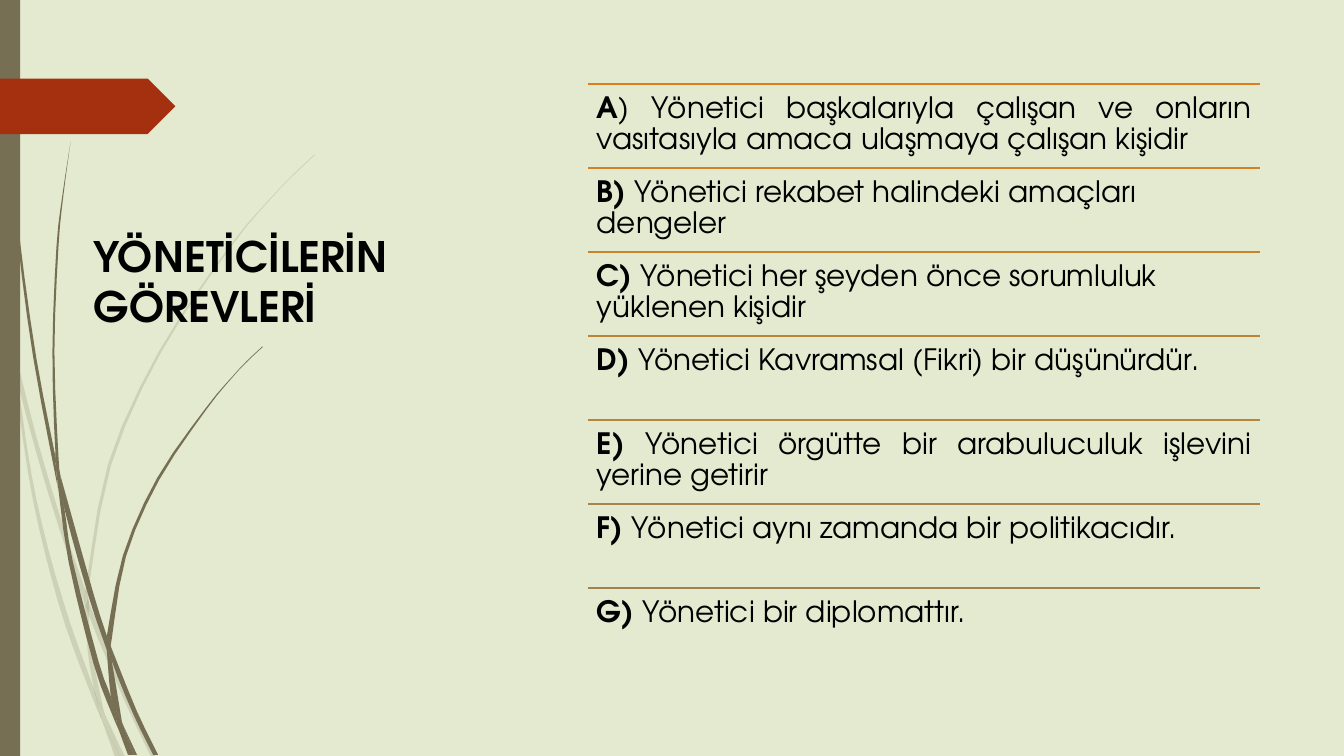
"""Builds a slide that lists the duties of managers."""
import lxml.etree
import pptx
import pptx.dml.color
import pptx.enum.shapes
import pptx.enum.text
import pptx.oxml
import pptx.oxml.ns
import pptx.util

WIDE, HIGH = pptx.util.Inches(13.333), pptx.util.Inches(7.5)
COL, ROW = WIDE / 16, HIGH / 9
FONT = "TeX Gyre Adventor"
HUES = {"back": "E3EACF", "stem": "766F54", "tag": "A53010", "text": "000000"}
RULES = ["DE7E18", "D38122", "C9832B", "BE8435", "B4853E", "A98448", "9F8351"]
TITLE = "YÖNETİCİLERİN GÖREVLERİ"
DUTIES = [
    ("A", ") Yönetici başkalarıyla çalışan ve onların vasıtasıyla amaca ulaşmaya çalışan kişidir", True),
    ("B) ", "Yönetici rekabet halindeki amaçları dengeler", False),
    ("C) ", "Yönetici her şeyden önce sorumluluk yüklenen kişidir", False),
    ("D) ", "Yönetici Kavramsal (Fikri) bir düşünürdür.", False),
    ("E) ", "Yönetici örgütte bir arabuluculuk işlevini yerine getirir", True),
    ("F) ", "Yönetici aynı zamanda bir politikacıdır.", False),
    ("G) ", "Yönetici bir diplomattır.", False),
]
PALE = [
    ([(0, 2.99), (0.1, 3.44), (0.11, 3.5)], [(0.11, 3.5), (0.09, 3.22), (0, 2.82)]),
    ([(0.14, 3.45), (0.17, 3.76), (0.36, 4.49), (0.58, 5.22), (0.84, 5.99)],
     [(0.85, 5.86), (0.62, 5.2), (0.36, 4.33), (0.14, 3.45)]),
    ([(0.88, 5.96), (0.88, 6.1), (1.23, 6.94), (1.5, 7.51)],
     [(1.55, 7.51), (1.27, 6.92), (0.92, 6.07), (0.88, 5.96)]),
    ([(1.05, 7.11), (1.19, 7.51)], [(1.24, 7.51), (1.05, 7.11)]),
    ([(0.11, 3.5), (0.28, 4.7), (0.44, 5.46), (0.65, 6.21), (0.92, 6.93), (1.01, 7.14)],
     [(0.99, 7.07), (0.93, 6.83), (0.7, 6.19), (0.48, 5.45), (0.31, 4.69), (0.17, 3.76),
      (0.11, 3.5)]),
    ([(0.84, 5.99), (0.87, 6.46), (0.93, 6.83), (0.96, 6.92), (1.05, 7.11)],
     [(1.03, 7.06), (0.91, 6.46), (0.88, 6.1), (0.84, 5.99)]),
    ([(3.12, 1.53), (2.89, 1.75), (2.68, 1.97), (2.28, 2.44), (1.58, 3.48), (1.07, 4.61),
      (0.85, 5.84), (0.85, 5.86)],
     [(0.88, 5.96), (0.88, 5.84), (1.1, 4.62), (1.6, 3.49), (2.29, 2.45), (2.68, 1.98),
      (2.9, 1.75), (3.12, 1.54)]),
    ([(1.01, 7.14), (1.14, 7.51)], [(1.19, 7.51), (1.01, 7.14)]),
    ([(0.85, 5.86), (0.84, 5.99), (0.88, 6.08)], [(0.88, 6.1), (0.88, 5.96), (0.85, 5.86)]),
    ([(0.93, 6.83), (0.99, 7.07), (1.01, 7.14), (1.19, 7.51)],
     [(1.19, 7.51), (1.05, 7.11), (0.96, 6.92), (0.93, 6.83)]),
]
DARK = [
    ([(0.03, 0), (0.04, 0.48), (0.07, 1.1), (0.17, 2.33), (0.33, 3.55), (0.56, 4.77), (0.57, 4.81)],
     [(0.55, 4.57), (0.55, 4.53), (0.36, 3.55), (0.19, 2.32), (0.08, 1.09), (0.05, 0.48),
      (0.04, 0)]),
    ([(0.6, 4.72), (0.64, 5.05), (0.88, 5.92), (1.06, 6.45)],
     [(1.06, 6.33), (1.06, 6.31), (0.93, 5.9), (0.6, 4.72)]),
    ([(1.1, 6.41), (1.11, 6.56), (1.32, 7.08), (1.52, 7.49)],
     [(1.57, 7.49), (1.36, 7.06), (1.13, 6.49), (1.1, 6.41)]),
    ([(0.57, 4.77), (0.68, 5.57), (0.93, 6.59), (1.11, 7.08), (1.17, 7.22)],
     [(1.16, 7.17), (1.1, 6.91), (0.98, 6.57), (0.72, 5.56), (0.64, 5.05), (0.57, 4.77)]),
    ([(0.7, 1.41), (0.62, 1.93), (0.56, 2.45), (0.52, 3.49), (0.55, 4.49), (0.6, 4.72)],
     [(0.6, 4.72), (0.58, 4.53), (0.54, 3.49), (0.58, 2.45), (0.63, 1.93), (0.7, 1.41)]),
    ([(1.22, 7.19), (1.33, 7.49)], [(1.36, 7.49), (1.22, 7.19)]),
    ([(0.55, 4.49), (0.55, 4.53), (0.57, 4.77), (0.64, 5.05)],
     [(0.6, 4.72), (0.6, 4.72), (0.55, 4.49)]),
    ([(2.6, 3.44), (2.45, 3.58), (2.31, 3.73), (2.04, 4.05), (1.56, 4.74), (1.22, 5.51),
      (1.06, 6.31)],
     [(1.1, 6.41), (1.11, 6.33), (1.25, 5.52), (1.58, 4.76), (2.05, 4.06), (2.31, 3.74),
      (2.45, 3.59), (2.61, 3.44)]),
    ([(1.17, 7.22), (1.27, 7.49)], [(1.31, 7.49), (1.17, 7.22)]),
    ([(1.06, 6.45), (1.1, 6.91), (1.16, 7.06), (1.22, 7.19)],
     [(1.21, 7.16), (1.11, 6.56), (1.09, 6.51), (1.06, 6.45)]),
    ([(1.06, 6.31), (1.06, 6.33), (1.06, 6.45), (1.09, 6.51)],
     [(1.11, 6.56), (1.1, 6.41), (1.06, 6.31)]),
    ([(1.1, 6.91), (1.16, 7.17), (1.17, 7.22), (1.3, 7.49)],
     [(1.33, 7.49), (1.22, 7.19), (1.16, 7.06), (1.1, 6.91)]),
]


def tint(name):
    """Return the colour for a hex string."""
    return pptx.dml.color.RGBColor.from_string(name)


def paint(shape, hue, alpha=None):
    """Fill a shape flat, without line or shadow."""
    shape.shadow.inherit = False
    shape.line.fill.background()
    shape.fill.solid()
    shape.fill.fore_color.rgb = tint(hue)
    if alpha:
        color = shape._element.spPr.find(".//" + pptx.oxml.ns.qn("a:srgbClr"))
        mark = lxml.etree.SubElement(color, pptx.oxml.ns.qn("a:alpha"))
        mark.set("val", str(alpha * 1000))


def smooth(knots):
    """Return a Catmull-Rom curve, three steps a span; two knots stay straight."""
    if len(knots) == 2:
        return knots
    ends = [knots[0], *knots, knots[-1]]
    curve = []
    for a, b, c, d in zip(ends, ends[1:], ends[2:], ends[3:]):
        for t in (0, 1 / 3, 2 / 3):
            curve.append(tuple(
                (2 * q + (r - p) * t + (2 * p - 5 * q + 4 * r - s) * t ** 2
                 + (3 * q - p - 3 * r + s) * t ** 3) / 2
                for p, q, r, s in zip(a, b, c, d)))
    return curve + [knots[-1]]


def blade(slide, left, top, down, back, alpha):
    """Draw one piece of grass between its two edges."""
    edge = [(left + pptx.util.Inches(x), top + pptx.util.Inches(y))
            for x, y in smooth(down) + smooth(back)]
    form = slide.shapes.build_freeform(*edge[0], scale=1.0)
    form.add_line_segments(edge[1:], close=True)
    paint(form.convert_to_shape(), HUES["stem"], alpha)


def decor(slide, left, top, high):
    """Draw the grass, the side bar and the red tag."""
    for group, alpha in ((PALE, 20), (DARK, None)):
        for down, back in group:
            blade(slide, left, top, down, back, alpha)
    kinds = pptx.enum.shapes.MSO_SHAPE
    bar = slide.shapes.add_shape(kinds.RECTANGLE, left, top, pptx.util.Inches(0.2), high)
    paint(bar, HUES["stem"])
    tag = slide.shapes.add_shape(kinds.PENTAGON, left, top + pptx.util.Inches(0.78),
                                 pptx.util.Inches(1.74), pptx.util.Inches(0.55))
    paint(tag, HUES["tag"])


def write(slide, box, runs, size, anchor, inset=None):
    """Add a text box of one paragraph and return the paragraph."""
    frame = slide.shapes.add_textbox(*map(round, box)).text_frame
    frame.word_wrap = True
    frame.vertical_anchor = anchor
    if inset:
        frame.margin_left = frame.margin_right = inset
        frame.margin_top = frame.margin_bottom = inset
    para = frame.paragraphs[0]
    for text, bold in runs:
        run = para.add_run()
        run.text = text
        run.font.name, run.font.size, run.font.bold = FONT, pptx.util.Pt(size), bold
        run.font.color.rgb = tint(HUES["text"])
    return para


def rule(slide, left, top, wide, hue):
    """Draw a thin line across the list."""
    line = slide.shapes.add_connector(pptx.enum.shapes.MSO_CONNECTOR.STRAIGHT,
                                      *map(round, (left, top, left + wide, top)))
    line.line.color.rgb = tint(hue)
    line.line.width = pptx.util.Pt(1.25)
    lxml.etree.SubElement(line._element.spPr, pptx.oxml.ns.qn("a:effectLst"))


def duties(slide, left, top, wide, high):
    """Stack the duties in equal rows, each under its own rule."""
    step = high / len(DUTIES)
    for place, ((mark, text, full), hue) in enumerate(zip(DUTIES, RULES)):
        y = top + place * step
        rule(slide, left, y, wide, hue)
        para = write(slide, (left, y, wide, step), [(mark, True), (text, False)], 21,
                     pptx.enum.text.MSO_ANCHOR.TOP, pptx.util.Pt(6.3))
        para.line_spacing = 0.9
        if full:
            para.alignment = pptx.enum.text.PP_ALIGN.JUSTIFY


def main():
    """Build and save the deck."""
    deck = pptx.Presentation()
    deck.slide_width, deck.slide_height = WIDE, HIGH
    slide = deck.slides.add_slide(deck.slide_layouts[6])
    slide.background.fill.solid()
    slide.background.fill.fore_color.rgb = tint(HUES["back"])
    decor(slide, 0, 0, HIGH)
    write(slide, (COL, ROW, 4 * COL, 3 * ROW), [(TITLE, True)], 30,
          pptx.enum.text.MSO_ANCHOR.BOTTOM)
    duties(slide, 7 * COL, ROW, 8 * COL, 7 * ROW)
    deck.save("out.pptx")


if __name__ == "__main__":
    main()
